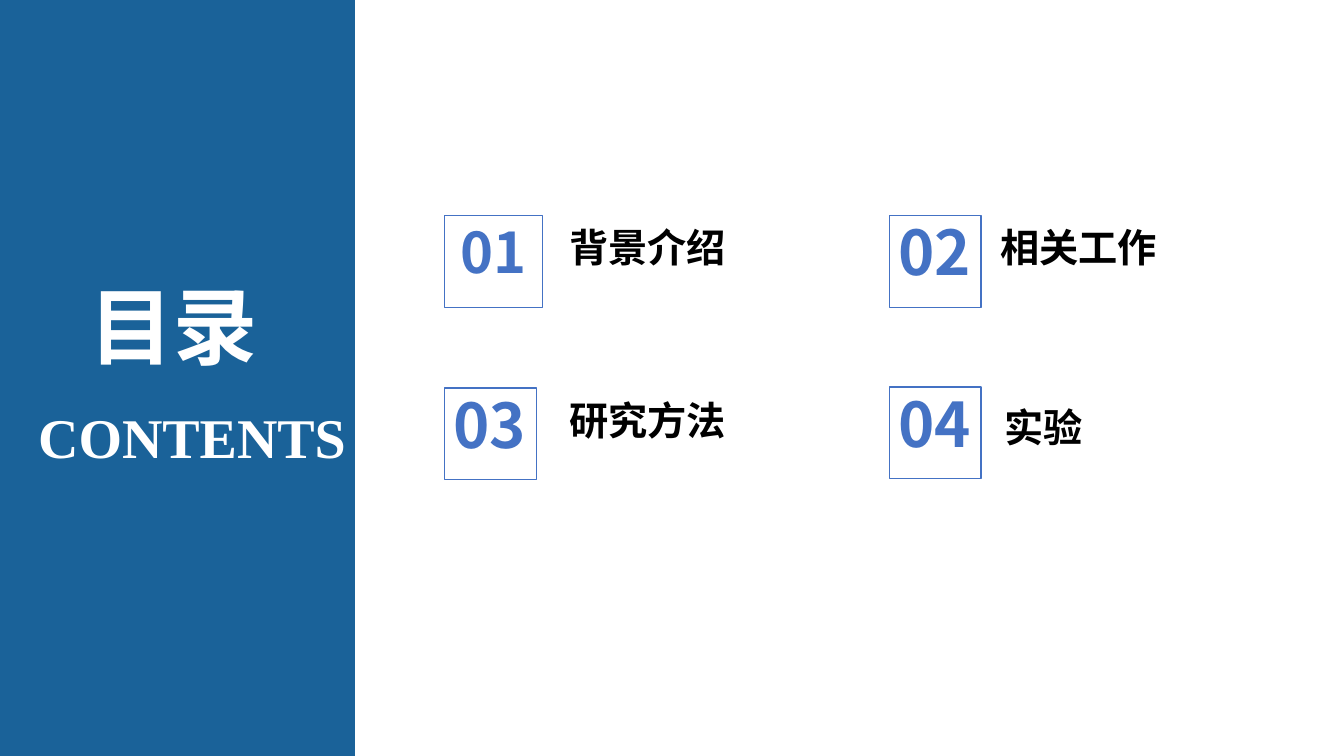
from lxml.etree import SubElement
from pptx import Presentation
from pptx.dml.color import RGBColor
from pptx.enum.shapes import MSO_SHAPE
from pptx.enum.text import MSO_ANCHOR, PP_ALIGN
from pptx.oxml.ns import qn
from pptx.util import Inches, Pt

PANEL_BLUE = RGBColor(0x1A, 0x62, 0x99)
NUMBER_BLUE = RGBColor(0x44, 0x72, 0xC4)
WHITE = RGBColor(0xFF, 0xFF, 0xFF)
BLACK = RGBColor(0, 0, 0)
CHINESE_FONT = "Noto Sans CJK SC"
LATIN_FONT = "Times New Roman"

# number, number size, number box, frame, title, title box (left, top, width, height)
ENTRIES = [
    ("01", 40, (4.41, 2.2, 0.97, 0.77), (4.41, 2.14, 0.97, 0.91),
     "背景介绍", (5.55, 2.23, 2.79, 0.57)),
    ("03", 44, (4.37, 3.88, 0.98, 0.84), (4.41, 3.85, 0.91, 0.91),
     "研究方法", (5.55, 3.94, 2.62, 0.57)),
    ("04", 44, (8.78, 3.87, 0.98, 0.84), (8.82, 3.84, 0.91, 0.91),
     "实验", (9.86, 4.01, 2.62, 1.04)),
    ("02", 44, (8.78, 2.17, 0.98, 0.84), (8.82, 2.14, 0.91, 0.91),
     "相关工作", (9.82, 2.23, 3.05, 0.57)),
]


def write_text(text_frame, text, size, color, font=CHINESE_FONT,
               align=PP_ALIGN.LEFT, line_spacing=0.88):
    """Write one bold line, with the font set for Latin and East Asian letters."""
    text_frame.word_wrap = True
    text_frame.vertical_anchor = MSO_ANCHOR.TOP
    paragraph = text_frame.paragraphs[0]
    paragraph.alignment = align
    paragraph.line_spacing = line_spacing
    run = paragraph.add_run()
    run.text = text
    run.font.size = Pt(size)
    run.font.bold = True
    run.font.color.rgb = color
    run.font.name = font
    SubElement(run.font._element, qn("a:ea"), typeface=font)


class ContentsSlide:
    def __init__(self, presentation):
        self.slide = presentation.slides.add_slide(presentation.slide_layouts[6])
        self.shapes = self.slide.shapes

    def text(self, box, text, shapes=None, **text_format):
        text_box = (shapes or self.shapes).add_textbox(*map(Inches, box))
        write_text(text_box.text_frame, text, **text_format)

    def rectangle(self, box, shapes=None, fill=None, line=None):
        shape = (shapes or self.shapes).add_shape(MSO_SHAPE.RECTANGLE, *map(Inches, box))
        shape.shadow.inherit = False
        if fill is None:
            shape.fill.background()
        else:
            shape.fill.solid()
            shape.fill.fore_color.rgb = fill
        if line is None:
            shape.line.fill.background()
        else:
            shape.line.color.rgb = line
            shape.line.width = Pt(1)

    def entry(self, number, number_size, number_box, frame, title, title_box):
        shapes = self.shapes.add_group_shape().shapes
        self.text(title_box, title, shapes, size=28, color=BLACK)
        self.text(number_box, number, shapes, size=number_size,
                  color=NUMBER_BLUE, align=PP_ALIGN.CENTER)
        self.rectangle(frame, shapes, line=NUMBER_BLUE)


def main():
    presentation = Presentation()
    presentation.slide_width = Inches(13.33)
    presentation.slide_height = Inches(7.5)
    contents = ContentsSlide(presentation)
    contents.rectangle((0, 0, 3.52, 7.5), fill=PANEL_BLUE)
    contents.text((0.3, 2.8, 2.54, 1.11), "目录 ", size=60, color=WHITE,
                  align=PP_ALIGN.RIGHT)
    contents.text((0, 3.94, 3.53, 0.77), "CONTENTS", size=40, color=WHITE,
                  font=LATIN_FONT, align=PP_ALIGN.RIGHT, line_spacing=1.0)
    for entry in ENTRIES:
        contents.entry(*entry)
    presentation.save("out.pptx")


if __name__ == "__main__":
    main()
